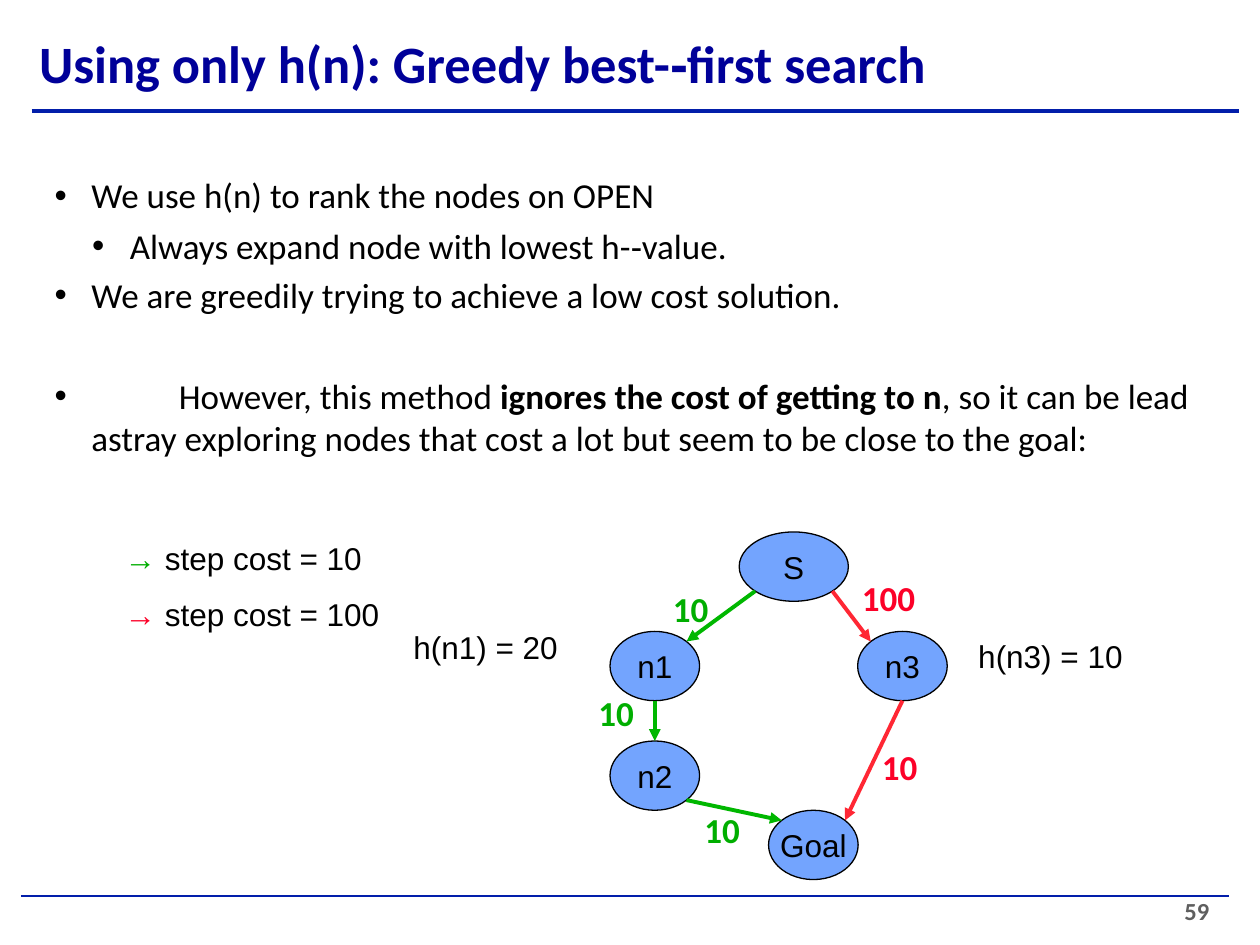
from math import sqrt

from lxml.etree import SubElement
from pptx import Presentation
from pptx.dml.color import RGBColor
from pptx.enum.shapes import MSO_CONNECTOR, MSO_SHAPE
from pptx.enum.text import MSO_ANCHOR, MSO_AUTO_SIZE, PP_ALIGN
from pptx.oxml.ns import qn
from pptx.util import Pt

THEME = {
    "title": "000099", "rule": "021EAA", "text": "000000", "number": "5F5F5F",
    "node": "73A4FE", "cheap": "00B700", "costly": "FF2734",
    "cheap_text": "00AE00", "costly_text": "FC0128",
    "head": "Calibri", "label": "Arial",
    "title_size": 30, "body_size": 20, "label_size": 18, "number_size": 14,
}

TITLE = "Using only h(n): Greedy best-‐first search"

# (left, y, width, line weight)
RULES = [(18, 63.4, 690, 2.25), (12, 512, 690, 1)]

# (level, space before, line spacing, [(text, bold), ...])
BULLETS = [
    (0, 0, 1, [("We use h(n) to rank the nodes on OPEN", False)]),
    (1, 4.8, 1, [("Always expand node with lowest h-‐value.", False)]),
    (0, 4, 1, [("We are greedily trying to achieve a low cost solution.", False)]),
    (0, 33.5, 1.01, [
        ("\tHowever, this method ", False),
        ("ignores the cost of getting to n", True),
        (", so it can be lead astray exploring nodes that cost a lot "
         "but seem to be close to the goal:", False)]),
]
BULLET_INDENTS = [(22, -21), (44, -21.5)]  # (text margin, first line) per level

LEGEND = [("cheap_text", "step cost = 10"), ("costly_text", "step cost = 100")]

NODE_H = 39.6
# name: (centre x, centre y, width)
NODES = {
    "S": (453.6, 323.8, 62.4),
    "n1": (374.2, 380.6, 51.2),
    "n2": (374.2, 443.2, 51.2),
    "n3": (515.7, 380.6, 51.2),
    "Goal": (464.8, 482.8, 51.2),
}

# Points on a node's outline, as fractions of its half width and half height
D = 1 / sqrt(2)
SIDES = {"top": (0, -1), "bottom": (0, 1), "top left": (-D, -D),
         "top right": (D, -D), "bottom left": (-D, D), "bottom right": (D, D)}

# (from, side, to, side, kind, step cost, label left, label top)
EDGES = [
    ("S", "bottom left", "n1", "top right", "cheap", "10", 384.5, 335),
    ("S", "bottom right", "n3", "top left", "costly", "100", 492.5, 328.5),
    ("n1", "bottom", "n2", "top", "cheap", "10", 342, 394.5),
    ("n3", "bottom", "Goal", "top right", "costly", "10", 504, 424.8),
    ("n2", "bottom right", "Goal", "top left", "cheap", "10", 402.5, 461),
]

# (text, left, top)
HEURISTICS = [("h(n1) = 20", 236.2, 358), ("h(n3) = 10", 559, 363)]


def rgb(key):
    return RGBColor.from_string(THEME[key])


def add_run(p, text, size, color="text", font="label", bold=False):
    r = p.add_run()
    r.text = text
    r.font.size = Pt(THEME[size])
    r.font.name = THEME[font]
    r.font.bold = bold
    r.font.color.rgb = rgb(color)


def set_frame(tf, top=0, anchor=MSO_ANCHOR.TOP, wrap=True):
    tf.margin_left = tf.margin_right = tf.margin_bottom = 0
    tf.margin_top = Pt(top)
    tf.vertical_anchor = anchor
    tf.word_wrap = wrap
    tf.auto_size = MSO_AUTO_SIZE.NONE


def add_text_box(s, x, y, w, h, top=0.9, wrap=True):
    tf = s.shapes.add_textbox(Pt(x), Pt(y), Pt(w), Pt(h)).text_frame
    set_frame(tf, top, wrap=wrap)
    return tf


def next_paragraph(tf, index):
    return tf.paragraphs[0] if index == 0 else tf.add_paragraph()


def add_line(s, start, end, color, weight, arrow=False):
    line = s.shapes.add_connector(MSO_CONNECTOR.STRAIGHT, *map(Pt, start + end))
    line.line.color.rgb = rgb(color)
    line.line.width = Pt(weight)
    if arrow:
        SubElement(line.line._get_or_add_ln(), qn("a:tailEnd"), type="triangle")
    SubElement(line._element.spPr, qn("a:effectLst"))


def add_title(s):
    title = s.shapes.title
    title.left, title.top, title.width, title.height = map(Pt, (22.3, 8.6, 592, 49))
    set_frame(title.text_frame, 9.4)
    p = title.text_frame.paragraphs[0]
    p.alignment = PP_ALIGN.LEFT
    add_run(p, TITLE, "title_size", "title", "head", True)


def add_bullets(s):
    tf = add_text_box(s, 30.2, 93.6, 656.6, 170, 5.8)
    for i, (level, before, spacing, runs) in enumerate(BULLETS):
        p = next_paragraph(tf, i)
        p.level = level
        p.space_before = Pt(before)
        p.line_spacing = spacing
        pPr = p._p.get_or_add_pPr()
        margin, first = BULLET_INDENTS[level]
        pPr.set("marL", str(Pt(margin)))
        pPr.set("indent", str(Pt(first)))
        SubElement(pPr, qn("a:buFont"), typeface=THEME["label"])
        SubElement(pPr, qn("a:buChar"), char="•")
        if runs[0][0].startswith("\t"):
            tabs = SubElement(pPr, qn("a:tabLst"))
            SubElement(tabs, qn("a:tab"), pos=str(Pt(72)), algn="l")
        for text, bold in runs:
            add_run(p, text, "body_size", font="head", bold=bold)


def add_legend(s):
    tf = add_text_box(s, 71.3, 296.6, 160, 65.5, 11.5)
    for i, (color, text) in enumerate(LEGEND):
        p = next_paragraph(tf, i)
        p.space_before = Pt(10.2 * i)
        add_run(p, "→ ", "label_size", color)
        add_run(p, text, "label_size")


def add_node(s, name):
    x, y, w = NODES[name]
    node = s.shapes.add_shape(MSO_SHAPE.OVAL, Pt(x - w / 2), Pt(y - NODE_H / 2),
                              Pt(w), Pt(NODE_H))
    node.shadow.inherit = False
    node.fill.solid()
    node.fill.fore_color.rgb = rgb("node")
    node.line.color.rgb = rgb("text")
    node.line.width = Pt(0.75)
    set_frame(node.text_frame, 0, MSO_ANCHOR.MIDDLE, wrap=False)
    p = node.text_frame.paragraphs[0]
    p.alignment = PP_ALIGN.CENTER
    add_run(p, name, "label_size")


def outline_point(name, side):
    x, y, w = NODES[name]
    dx, dy = SIDES[side]
    return x + dx * w / 2, y + dy * NODE_H / 2


def add_graph(s):
    for name in NODES:
        add_node(s, name)
    for a, a_side, b, b_side, kind, cost, x, y in EDGES:
        add_line(s, outline_point(a, a_side), outline_point(b, b_side), kind, 2.25, True)
        tf = add_text_box(s, x, y, 11 * len(cost), 26, wrap=False)
        add_run(tf.paragraphs[0], cost, "body_size", kind + "_text", "head", True)
    for text, x, y in HEURISTICS:
        tf = add_text_box(s, x, y, 85, 24, wrap=False)
        add_run(tf.paragraphs[0], text, "label_size")


def main():
    prs = Presentation()
    prs.slide_width, prs.slide_height = Pt(720), Pt(540)
    s = prs.slides.add_slide(prs.slide_layouts[5])
    for x, y, w, weight in RULES:
        add_line(s, (x, y), (x + w, y), "rule", weight)
    add_title(s)
    add_bullets(s)
    add_legend(s)
    add_graph(s)
    number = add_text_box(s, 676.8, 512, 26.6, 19.4, 0)
    add_run(number.paragraphs[0], "59", "number_size", "number", "head", True)
    prs.save("out.pptx")


if __name__ == "__main__":
    main()
